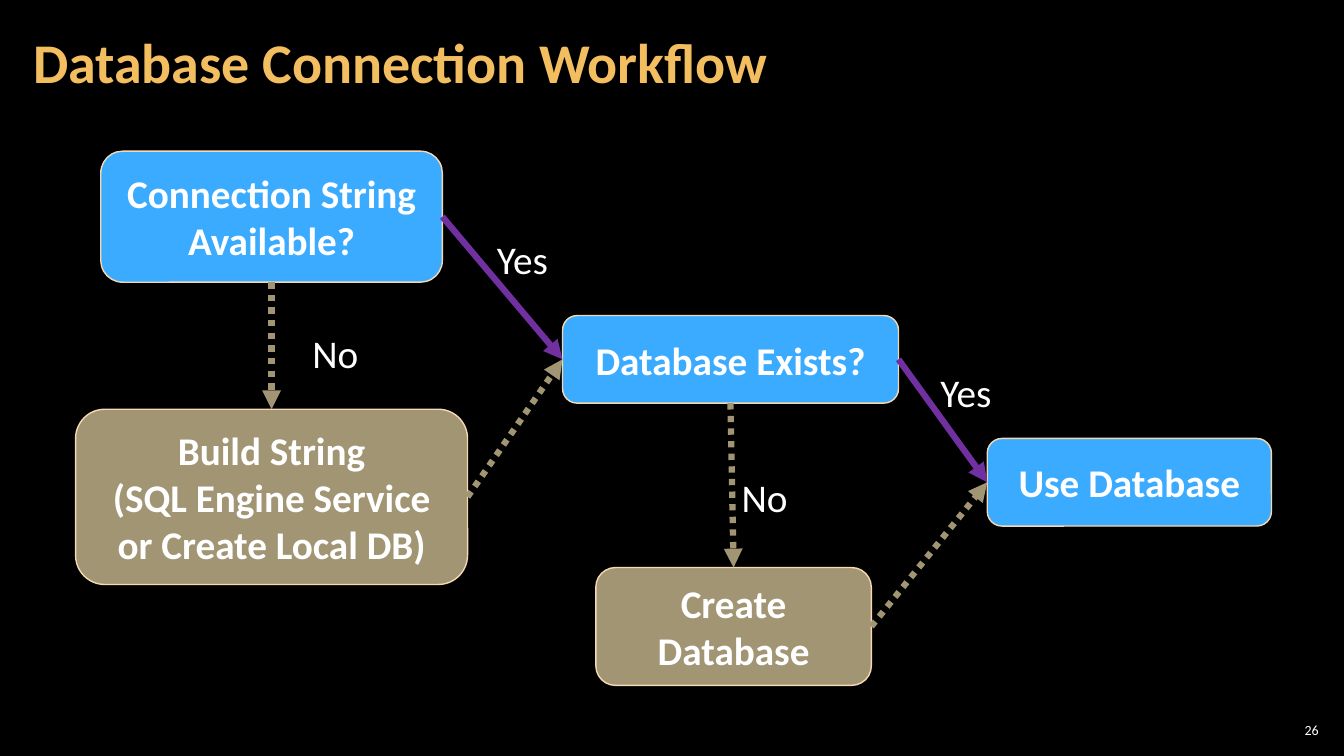
import pptx
import pptx.util
import pptx.dml.color
import pptx.enum.dml
import pptx.enum.shapes
import pptx.enum.text
import pptx.oxml
import pptx.oxml.ns

Pt = pptx.util.Pt
ALIGN = pptx.enum.text.PP_ALIGN
ANCHOR = pptx.enum.text.MSO_ANCHOR

COLORS = {
    "background": "000000",
    "title": "F3BE60",
    "text": "FFFFFF",
    "main": "3BABFF",
    "fallback": "A19574",
    "outline": "F6D9B2",
    "yes": "7030A0",
}
TOP, LEFT, BOTTOM, RIGHT = range(4)

# name: (text, colour, (left, top, width, height))
STEPS = {
    "connection": ("Connection String Available?", "main", (72, 108, 244, 93.6)),
    "build": ("Build String\v(SQL Engine Service or Create Local DB)", "fallback",
              (54, 292.3, 280, 125.2)),
    "exists": ("Database Exists?", "main", (401.8, 225.4, 240, 62.6)),
    "create": ("Create Database", "fallback", (425.6, 405.4, 196.8, 84.2)),
    "use": ("Use Database", "main", (705.2, 313.2, 203, 62.6)),
}
# (start step, its side, end step, its side, colour)
ARROWS = [
    ("connection", BOTTOM, "build", TOP, "fallback"),
    ("build", RIGHT, "exists", LEFT, "fallback"),
    ("connection", RIGHT, "exists", LEFT, "yes"),
    ("exists", BOTTOM, "create", TOP, "fallback"),
    ("exists", RIGHT, "use", LEFT, "yes"),
    ("create", RIGHT, "use", LEFT, "fallback"),
]
ANSWERS = [
    ("No", (216, 231.8, 47.5, 41)),
    ("Yes", (347.8, 164.2, 51, 41)),
    ("No", (522.7, 334.8, 47.5, 41)),
    ("Yes", (664.6, 259.2, 51, 41)),
]


def rgb(name):
    return pptx.dml.color.RGBColor.from_string(COLORS[name])


def set_attributes(target, values):
    for name, value in values.items():
        setattr(target, name, value)


def write_text(shape, text, size, color="text", bold=False, align=ALIGN.LEFT,
               spacing=1.0, **frame_values):
    frame = shape.text_frame
    set_attributes(frame, {"word_wrap": True, **frame_values})
    paragraph = frame.paragraphs[0]
    paragraph.text = text
    set_attributes(paragraph, {"alignment": align, "line_spacing": spacing})
    for run in paragraph.runs:
        set_attributes(run.font, {"name": "Calibri", "size": Pt(size), "bold": bold})
        run.font.color.rgb = rgb(color)


def add_label(slide, box, text, size, **text_values):
    shape = slide.shapes.add_textbox(*map(Pt, box))
    write_text(shape, text, size, **text_values)


def add_step(slide, box, text, color):
    kind = pptx.enum.shapes.MSO_SHAPE.ROUNDED_RECTANGLE
    shape = slide.shapes.add_shape(kind, *map(Pt, box))
    shape.shadow.inherit = False
    shape.fill.solid()
    shape.fill.fore_color.rgb = rgb(color)
    shape.line.color.rgb = rgb("outline")
    shape.line.width = Pt(1)
    write_text(shape, text, 28, bold=True, align=ALIGN.CENTER,
               vertical_anchor=ANCHOR.MIDDLE)
    return shape


def add_arrow(slide, start, start_side, end, end_side, color):
    kind = pptx.enum.shapes.MSO_CONNECTOR.STRAIGHT
    arrow = slide.shapes.add_connector(kind, 0, 0, 0, 0)
    arrow.begin_connect(start, start_side)
    arrow.end_connect(end, end_side)
    arrow.line.color.rgb = rgb(color)
    arrow.line.width = Pt(4.5)
    if color == "fallback":
        arrow.line.dash_style = pptx.enum.dml.MSO_LINE.ROUND_DOT
    namespace = pptx.oxml.ns.nsdecls("a")
    arrow.line._get_or_add_ln().append(
        pptx.oxml.parse_xml(f'<a:tailEnd {namespace} type="triangle"/>'))
    arrow._element.spPr.append(pptx.oxml.parse_xml(f"<a:effectLst {namespace}/>"))


def add_workflow(slide):
    """Draw the steps, the arrows that join them and the answers beside the arrows."""
    shapes = {name: add_step(slide, box, text, color)
              for name, (text, color, box) in STEPS.items()}
    for start, start_side, end, end_side, color in ARROWS:
        add_arrow(slide, shapes[start], start_side, shapes[end], end_side, color)
    for text, box in ANSWERS:
        add_label(slide, box, text, 28, word_wrap=False)


def main():
    presentation = pptx.Presentation()
    set_attributes(presentation, {"slide_width": Pt(960), "slide_height": Pt(540)})
    slide = presentation.slides.add_slide(presentation.slide_layouts[6])
    slide.background.fill.solid()
    slide.background.fill.fore_color.rgb = rgb("background")

    add_label(slide, (15, 3, 754, 87), "Database Connection Workflow", 40,
              color="title", bold=True, spacing=0.9, vertical_anchor=ANCHOR.MIDDLE,
              margin_left=Pt(8.6), margin_right=Pt(8.6),
              margin_top=Pt(3), margin_bottom=Pt(3))
    add_workflow(slide)
    add_label(slide, (911, 514, 34, 15), "26", 10, align=ALIGN.RIGHT,
              vertical_anchor=ANCHOR.MIDDLE, margin_left=Pt(3), margin_right=Pt(3),
              margin_top=Pt(3), margin_bottom=Pt(3))
    presentation.save("out.pptx")


if __name__ == "__main__":
    main()
